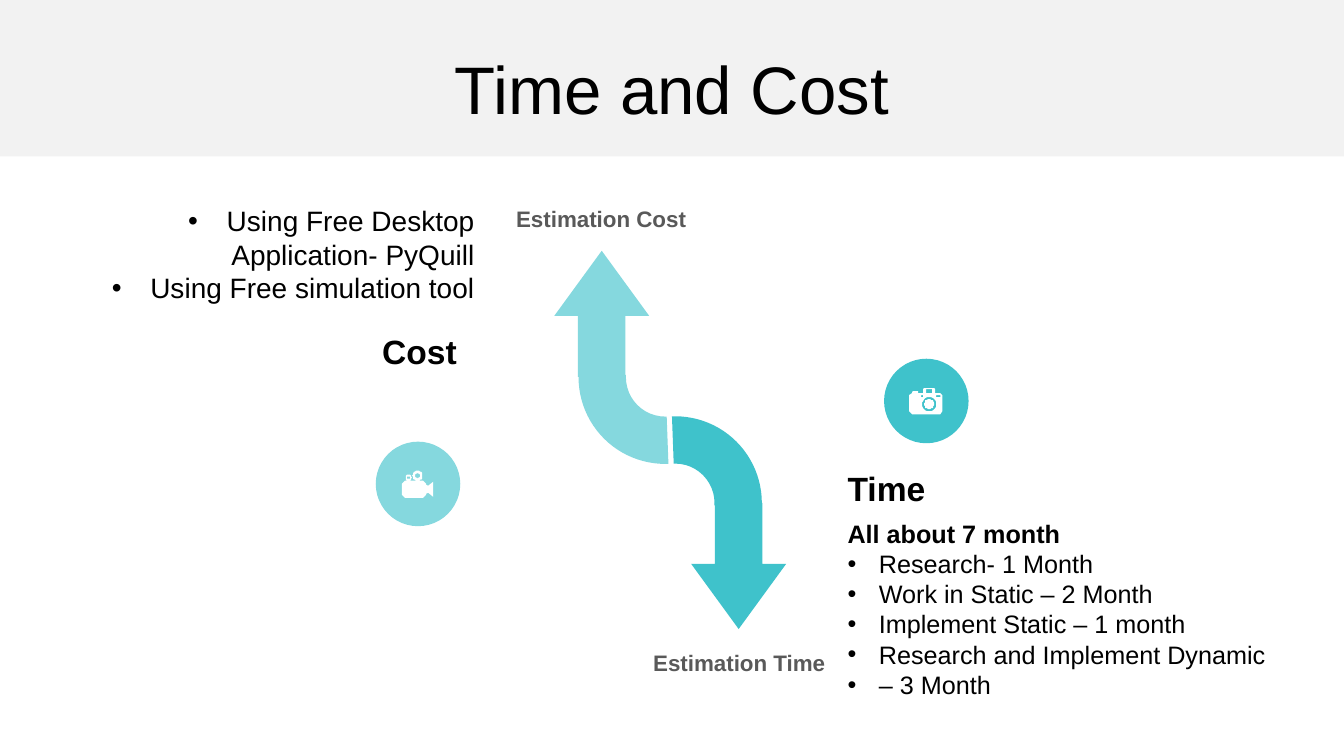
"""Build the Time and Cost slide."""
from dataclasses import dataclass
from math import cos, pi, sin

from lxml import etree
from pptx import Presentation
from pptx.dml.color import RGBColor
from pptx.enum import shapes, text
from pptx.oxml import ns
from pptx.util import Cm, Pt

KIND = shapes.MSO_SHAPE
ALIGN = text.PP_ALIGN
ANCHOR = text.MSO_ANCHOR


@dataclass(frozen=True)
class Theme:
    font: str = "Arial"
    ink: str = "000000"
    grey: str = "595959"
    band: str = "F2F2F2"
    light: str = "85D8DE"
    deep: str = "3FC2CB"
    white: str = "FFFFFF"
    title: int = 48
    head: int = 24
    cost: int = 20
    time: int = 18
    label: int = 16


THEME = Theme()


def write(frame, lines, size, color=THEME.ink, bold=False, align=ALIGN.LEFT, indent=0):
    for line in lines:
        para = frame.paragraphs[0]
        if para.runs:
            para = frame.add_paragraph()
        para.alignment = align
        run = para.add_run()
        run.text = line
        font = run.font
        font.name, font.size, font.bold = THEME.font, Pt(size), bold
        font.color.rgb = RGBColor.from_string(color)
        if indent:
            props = para._p.get_or_add_pPr()
            props.set("marL", str(Cm(indent)))
            props.set("indent", str(-Cm(indent)))
            etree.SubElement(props, ns.qn("a:buFont")).set("typeface", THEME.font)
            etree.SubElement(props, ns.qn("a:buChar")).set("char", "•")


def box(slide, left, top, width, height, anchor=ANCHOR.MIDDLE):
    area = slide.shapes.add_textbox(Cm(left), Cm(top), Cm(width), Cm(height))
    frame = area.text_frame
    frame.word_wrap = True
    frame.vertical_anchor = anchor
    return frame


def paint(shape, color):
    shape.shadow.inherit = False
    shape.fill.solid()
    shape.fill.fore_color.rgb = RGBColor.from_string(color)
    shape.line.fill.background()


def form(slide, kind, left, top, width, height, color, turn=0, adjust=()):
    shape = slide.shapes.add_shape(kind, Cm(left), Cm(top), Cm(width), Cm(height))
    paint(shape, color)
    shape.rotation = turn
    for index, value in enumerate(adjust):
        shape.adjustments[index] = value
    return shape


def ring(x, y, radius, count=24):
    steps = [2 * pi * n / count for n in range(count)]
    return [(x + radius * cos(a), y + radius * sin(a)) for a in steps]


def rect(left, top, right, bottom):
    return [(left, top), (right, top), (right, bottom), (left, bottom)]


def icon(slide, left, top, paths):
    first, *rest = paths
    pen = slide.shapes.build_freeform(*first[0], scale=Cm(0.0254))
    pen.add_line_segments(first[1:])
    for path in rest:
        pen.move_to(*path[0])
        pen.add_line_segments(path[1:])
    paint(pen.convert_to_shape(Cm(left), Cm(top)), THEME.white)


def bend(slide, left, top, arc, color, turn):
    form(slide, KIND.UP_ARROW, left, top, 2.39, 3.18, color, turn, (0.5, 0.686))
    form(slide, KIND.BLOCK_ARC, *arc, 4.37, 4.37, color, 180 - turn,
         (160.743, 2.096, 0.273))


def heading(slide, width):
    band = form(slide, KIND.RECTANGLE, 0, 0, width, 3.94, THEME.band)
    title = slide.shapes.title
    title._element.addprevious(band._element)
    title.left, title.top, title.width, title.height = Cm(0), Cm(1.14), Cm(width), Cm(2.13)
    frame = title.text_frame
    frame.auto_size = text.MSO_AUTO_SIZE.NONE
    frame.vertical_anchor = ANCHOR.MIDDLE
    write(frame, ["Time and Cost"], THEME.title, align=ALIGN.CENTER)


def camera(slide):
    form(slide, KIND.OVAL, 22.28, 9.04, 2.13, 2.13, THEME.deep)
    body = [(15, 0), (25, 0), (26, 1), (26, 5), (31, 5), (33, 7), (33, 23), (31, 26),
            (3, 26), (0, 23), (0, 7), (3, 5), (3, 4), (4, 3), (9, 3), (9, 5), (14, 5), (14, 1)]
    icon(slide, 22.91, 9.78, [
        body, ring(20, 16, 7), ring(20, 16, 5),
        rect(12, 7, 14, 9), rect(27, 7, 31, 9), rect(17, 1, 23, 5)])


def video(slide):
    form(slide, KIND.OVAL, 9.47, 11.13, 2.13, 2.13, THEME.light)
    body = [(3, 10), (21, 10), (24, 13), (24, 14), (26, 15), (31, 11), (31, 26),
            (26, 22), (24, 23), (24, 24), (21, 27), (3, 27), (0, 24), (0, 13)]
    icon(slide, 10.13, 11.86, [
        body, ring(15.5, 5, 5), ring(15.5, 5, 2.5), ring(6.5, 7, 3), ring(6.5, 7, 1.5)])


def main():
    deck = Presentation()
    width = 33.87
    deck.slide_width, deck.slide_height = Cm(width), Cm(19.05)
    slide = deck.slides.add_slide(deck.slide_layouts[5])
    heading(slide, width)

    bend(slide, 13.97, 6.32, (14.58, 7.32), THEME.light, 0)
    bend(slide, 17.42, 12.67, (14.83, 10.49), THEME.deep, 180)
    for name, left, top in (("Cost", 12.24, 5.03), ("Time", 15.72, 16.23)):
        write(box(slide, left, top, 5.82, 0.94), [f"Estimation {name}"], THEME.label,
              color=THEME.grey, bold=True, align=ALIGN.CENTER)

    write(box(slide, 21.11, 11.66, 12.09, 1.27), ["Time"], THEME.head, bold=True)
    plan = box(slide, 21.11, 12.9, 12.09, 4.88)
    write(plan, ["All about 7 month"], THEME.time, bold=True)
    write(plan, ["Research- 1 Month", "Work in Static – 2 Month",
                 "Implement Static – 1 month", "Research and Implement Dynamic",
                 "– 3 Month"], THEME.time, indent=0.79)

    write(box(slide, 1.32, 8.2, 10.44, 1.27), ["Cost"], THEME.head, bold=True,
          align=ALIGN.RIGHT)
    write(box(slide, 1.14, 5.01, 11.07, 3.1, ANCHOR.TOP),
          ["Using Free Desktop Application- PyQuill", "Using Free simulation tool"],
          THEME.cost, align=ALIGN.RIGHT, indent=0.97)

    camera(slide)
    video(slide)
    deck.save("out.pptx")


if __name__ == "__main__":
    main()
